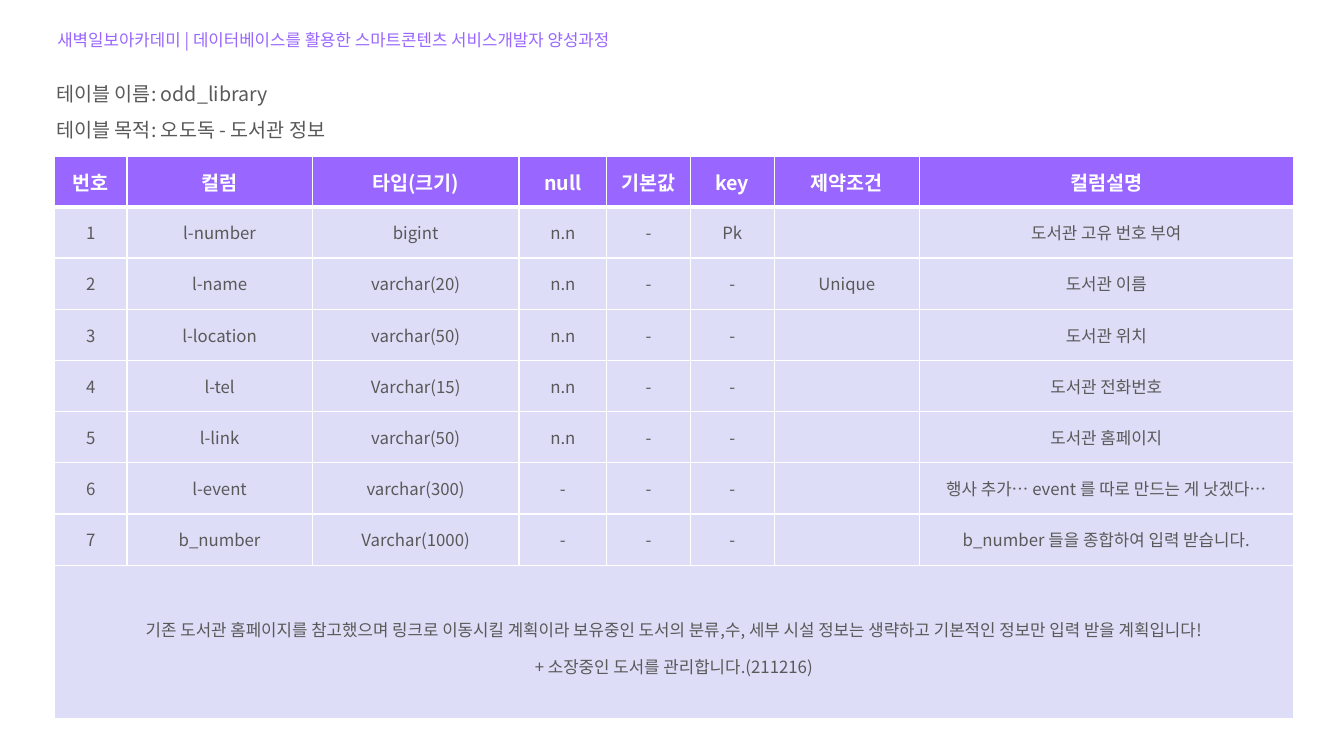
from dataclasses import dataclass

from lxml import etree
from pptx import Presentation
from pptx import util as u
from pptx.dml.color import RGBColor
from pptx.enum import text as t
from pptx.oxml import ns


@dataclass(frozen=True)
class Theme:
    """Font, colours and type sizes of the slide."""
    font: str = "Noto Sans CJK KR"
    accent: str = "9966FF"
    ink: str = "595959"
    row_fill: str = "DDDDF7"
    white: str = "FFFFFF"
    heading: int = 14
    body: int = 12


@dataclass(frozen=True)
class Box:
    """Place of an object, in centimetres."""
    left: float
    top: float
    width: float
    height: float

    def emu(self) -> tuple:
        """Return the four lengths as Cm values."""
        return tuple(map(u.Cm, (self.left, self.top, self.width, self.height)))


@dataclass(frozen=True)
class Column:
    """Heading and width in centimetres of a table column."""
    heading: str
    width: float


@dataclass(frozen=True)
class Field:
    """One row of the data dictionary."""
    name: str
    type: str
    null: str
    key: str
    constraint: str
    description: str

    def values(self, number: int) -> list[str]:
        """Return the cell texts in column order."""
        return [str(number), self.name, self.type, self.null, "-",
                self.key, self.constraint, self.description]


THEME = Theme()
TITLE_BOX = Box(1.19, 0.38, 29.46, 0.89)
SUMMARY_BOX = Box(1.17, 1.65, 29.46, 1.9)
TABLE_LEFT, TABLE_TOP = 1.37, 3.94
HEADER_HEIGHT, FIELD_HEIGHT, NOTE_HEIGHT = 1.27, 1.29, 3.86
THIN, THICK = 1, 3

TITLE = "새벽일보아카데미 | 데이터베이스를 활용한 스마트콘텐츠 서비스개발자 양성과정"
SUMMARY = ["테이블 이름: odd_library", "테이블 목적: 오도독 - 도서관 정보"]
NOTE = [
    "기존 도서관 홈페이지를 참고했으며 링크로 이동시킬 계획이라 보유중인 도서의 분류,수, "
    "세부 시설 정보는 생략하고 기본적인 정보만 입력 받을 계획입니다!",
    "+ 소장중인 도서를 관리합니다.(211216)",
]
COLUMNS = [
    Column("번호", 1.83), Column("컬럼", 4.67), Column("타입(크기)", 5.21),
    Column("null", 2.21), Column("기본값", 2.11), Column("key", 2.11),
    Column("제약조건", 3.66), Column("컬럼설명", 9.42),
]
FIELDS = [
    Field("l-number", "bigint", "n.n", "Pk", "", "도서관 고유 번호 부여"),
    Field("l-name", "varchar(20)", "n.n", "-", "Unique", "도서관 이름"),
    Field("l-location", "varchar(50)", "n.n", "-", "", "도서관 위치"),
    Field("l-tel", "Varchar(15)", "n.n", "-", "", "도서관 전화번호"),
    Field("l-link", "varchar(50)", "n.n", "-", "", "도서관 홈페이지"),
    Field("l-event", "varchar(300)", "-", "-", "", "행사 추가… event 를 따로 만드는 게 낫겠다…"),
    Field("b_number", "Varchar(1000)", "-", "-", "", "b_number 들을 종합하여 입력 받습니다."),
]


def write(tf, lines: list[str], *, size: int = THEME.body, color: str = THEME.ink,
          bold: bool = False, align=t.PP_ALIGN.LEFT, spacing: float = 1.0) -> None:
    """Fill a text frame with one formatted paragraph per line."""
    for i, line in enumerate(lines):
        p = tf.paragraphs[0] if i == 0 else tf.add_paragraph()
        p.alignment, p.line_spacing = align, spacing
        p.space_before = p.space_after = u.Pt(0)
        r = p.add_run()
        r.text = line
        r.font.name, r.font.size, r.font.bold = THEME.font, u.Pt(size), bold
        r.font.color.rgb = RGBColor.from_string(color)
        ea = etree.SubElement(r.font._element, ns.qn("a:ea"))
        ea.set("typeface", THEME.font)


def write_box(sp, box: Box, lines: list[str], **fmt) -> None:
    """Place a text shape and write top-anchored lines in it."""
    sp.left, sp.top, sp.width, sp.height = box.emu()
    tf = sp.text_frame
    tf.word_wrap = True
    tf.vertical_anchor = t.MSO_ANCHOR.TOP
    tf.auto_size = t.MSO_AUTO_SIZE.SHAPE_TO_FIT_TEXT
    write(tf, lines, spacing=1.5, **fmt)


def style_cell(cell, fill: str, top: int = THIN, bottom: int = THIN) -> None:
    """Give a cell white borders, a solid fill and middle anchoring."""
    tc_pr = cell._tc.get_or_add_tcPr()
    for side, width in (("L", THIN), ("R", THIN), ("T", top), ("B", bottom)):
        ln = etree.SubElement(tc_pr, ns.qn(f"a:ln{side}"), w=str(u.Pt(width)))
        solid = etree.SubElement(ln, ns.qn("a:solidFill"))
        etree.SubElement(solid, ns.qn("a:srgbClr"), val=THEME.white)
    cell.fill.solid()
    cell.fill.fore_color.rgb = RGBColor.from_string(fill)
    cell.vertical_anchor = t.MSO_ANCHOR.MIDDLE


def add_dictionary(s) -> None:
    """Add the table of columns with its merged note row."""
    heights = [HEADER_HEIGHT, *[FIELD_HEIGHT] * len(FIELDS), NOTE_HEIGHT]
    box = Box(TABLE_LEFT, TABLE_TOP, sum(c.width for c in COLUMNS), sum(heights))
    table = s.shapes.add_table(len(heights), len(COLUMNS), *box.emu()).table
    table.horz_banding = False
    for col, column in zip(table.columns, COLUMNS):
        col.width = u.Cm(column.width)
    for row, height in zip(table.rows, heights):
        row.height = u.Cm(height)

    center = t.PP_ALIGN.CENTER
    for cell, column in zip(table.rows[0].cells, COLUMNS):
        style_cell(cell, THEME.accent, bottom=THICK)
        write(cell.text_frame, [column.heading], size=THEME.heading,
              color=THEME.white, bold=True, align=center)
    for number, field in enumerate(FIELDS, 1):
        for cell, value in zip(table.rows[number].cells, field.values(number)):
            style_cell(cell, THEME.row_fill, top=THICK if number == 1 else THIN)
            if value:
                write(cell.text_frame, [value], align=center)

    last = len(heights) - 1
    note = table.cell(last, 0)
    note.merge(table.cell(last, len(COLUMNS) - 1))
    for cell in table.rows[last].cells:
        style_cell(cell, THEME.row_fill)
    write(note.text_frame, NOTE, align=center, spacing=1.5)


def main() -> None:
    """Build and save the slide."""
    prs = Presentation()
    prs.slide_width, prs.slide_height = u.Cm(33.87), u.Cm(19.05)
    s = prs.slides.add_slide(prs.slide_layouts[5])
    add_dictionary(s)
    write_box(s.shapes.title, TITLE_BOX, [TITLE], color=THEME.accent)
    summary = s.shapes.add_textbox(*SUMMARY_BOX.emu())
    write_box(summary, SUMMARY_BOX, SUMMARY, size=THEME.heading)
    prs.save("out.pptx")


main()
